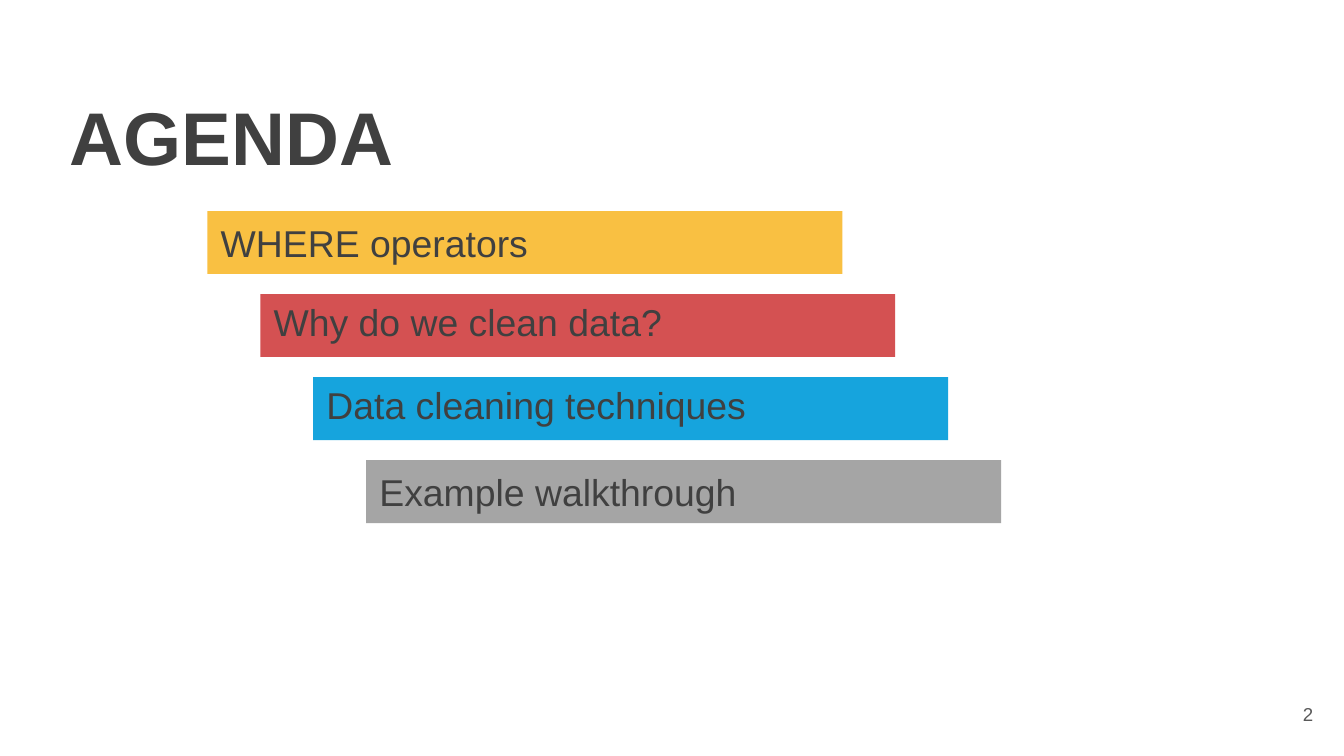
import pptx
import pptx.dml.color
import pptx.enum.shapes
import pptx.enum.text
import pptx.util

Cm = pptx.util.Cm
RGBColor = pptx.dml.color.RGBColor
ALIGN = pptx.enum.text.PP_ALIGN
ANCHOR = pptx.enum.text.MSO_ANCHOR

DARK = RGBColor(0x40, 0x40, 0x40)
MID_GRAY = RGBColor(0x59, 0x59, 0x59)
YELLOW = RGBColor(0xF9, 0xC0, 0x42)
RED = RGBColor(0xD4, 0x51, 0x52)
BLUE = RGBColor(0x16, 0xA4, 0xDD)
GRAY = RGBColor(0xA5, 0xA5, 0xA5)


def write(shape, text, size=20, color=DARK, bold=False, align=ALIGN.LEFT,
          anchor=ANCHOR.MIDDLE, spacing=1.0, top_margin=0.25):
    frame = shape.text_frame
    frame.word_wrap = True
    frame.auto_size = pptx.enum.text.MSO_AUTO_SIZE.NONE
    frame.vertical_anchor = anchor
    frame.margin_left = frame.margin_right = frame.margin_bottom = Cm(0.25)
    frame.margin_top = Cm(top_margin)
    paragraph = frame.paragraphs[0]
    paragraph.alignment = align
    paragraph.line_spacing = spacing
    run = paragraph.add_run()
    run.text = text
    run.font.name = "Arial"
    run.font.size = pptx.util.Pt(size)
    run.font.bold = bold
    run.font.color.rgb = color


deck = pptx.Presentation()
deck.slide_width = Cm(25.4)
deck.slide_height = Cm(14.29)
slide = deck.slides.add_slide(deck.slide_layouts[5])

heading = slide.shapes.title
heading.left, heading.top = Cm(1.07), Cm(1.32)
heading.width, heading.height = Cm(10.19), Cm(1.6)
write(heading, "AGENDA", size=40, bold=True, anchor=ANCHOR.TOP, top_margin=0.4)

topics = [
    ("WHERE operators", YELLOW, 1.0),
    ("Why do we clean data?", RED, 0.8),
    ("Data cleaning techniques", BLUE, 0.8),
    ("Example walkthrough", GRAY, 1.0),
]
for step, (topic, color, spacing) in enumerate(topics):
    bar = slide.shapes.add_shape(
        pptx.enum.shapes.MSO_SHAPE.RECTANGLE,
        Cm(3.92 + step), Cm(3.99 + 1.57 * step), Cm(12), Cm(1.19))
    bar.shadow.inherit = False
    bar.fill.solid()
    bar.fill.fore_color.rgb = color
    bar.line.fill.background()
    write(bar, topic, spacing=spacing)

page_number = slide.shapes.add_textbox(Cm(23.55), Cm(12.95), Cm(1.52), Cm(1.09))
write(page_number, "2", size=10, color=MID_GRAY, align=ALIGN.RIGHT)

deck.save("out.pptx")
